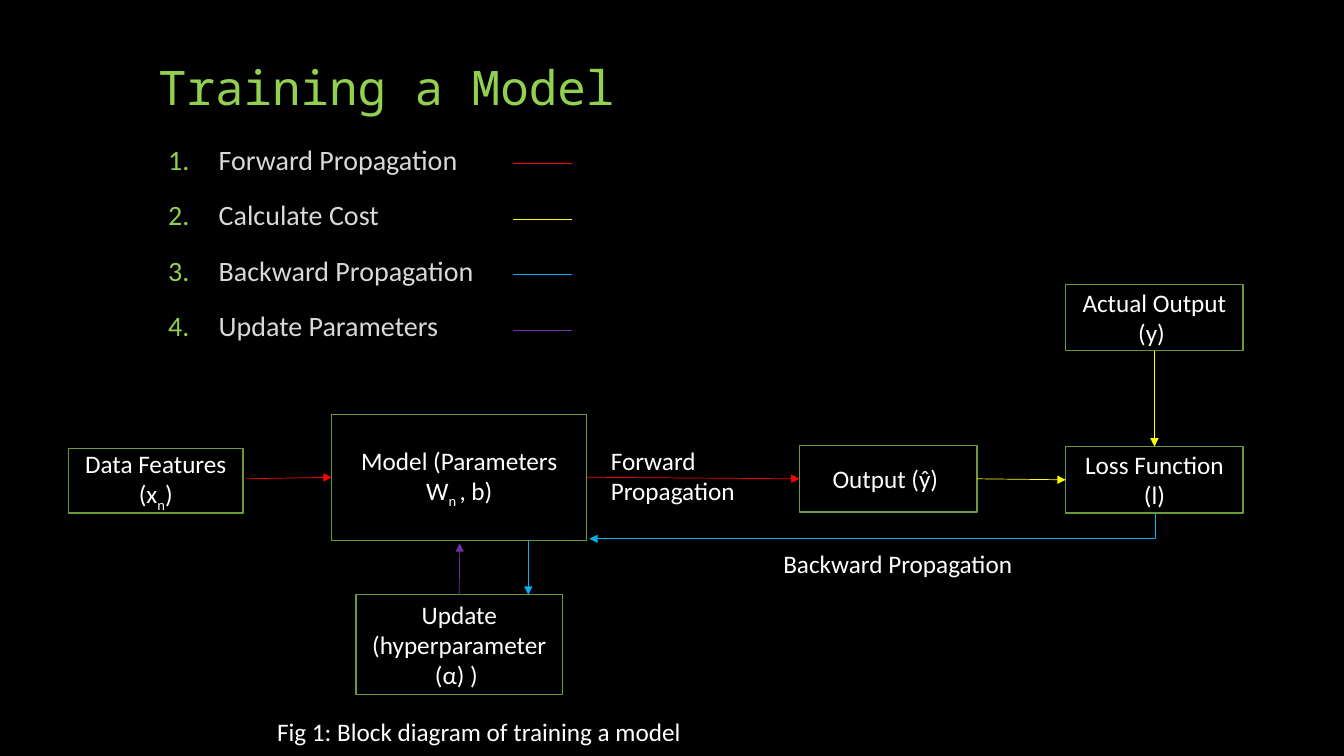
from dataclasses import dataclass
from typing import Optional

from lxml.etree import SubElement
from pptx import Presentation
from pptx.dml.color import RGBColor
from pptx.enum.shapes import MSO_CONNECTOR as Connector, MSO_SHAPE as Preset
from pptx.enum.text import MSO_ANCHOR as Anchor, PP_ALIGN as Align
from pptx.oxml.ns import qn
from pptx.util import Inches, Pt

COLORS = {
    "background": "000000",
    "green": "92D050",
    "border": "6C9A3B",
    "gray": "D9D9D9",
    "white": "FFFFFF",
    "red": "FF0000",
    "yellow": "FFFF00",
    "blue": "00B0F0",
    "purple": "7030A0",
}


@dataclass(frozen=True)
class Block:
    name: str
    area: tuple[float, float, float, float]
    spans: tuple[str, ...]  # every second span is a subscript


@dataclass(frozen=True)
class Label:
    area: tuple[float, float, float, float]
    lines: tuple[str, ...]
    size: int = 18
    color: str = "white"
    font: str = "Calibri"
    anchor: Anchor = Anchor.TOP
    spacing: float = 1.0


@dataclass(frozen=True)
class Arrow:
    start: tuple[float, float]
    end: tuple[float, float]
    color: str
    source: Optional[tuple[str, int]] = None  # block name and side
    target: Optional[tuple[str, int]] = None


BLOCKS = [
    Block("data", (0.68, 4.45, 1.73, 0.64), ("Data Features (x", "n", ")")),
    Block("model", (3.29, 4.11, 2.53, 1.25), ("Model (Parameters W", "n ", ", b)")),
    Block("output", (7.93, 4.42, 1.76, 0.66), ("Output (ŷ) ",)),
    Block("actual", (10.57, 2.82, 1.76, 0.66), ("Actual Output (y) ",)),
    Block("loss", (10.57, 4.43, 1.76, 0.66), ("Loss Function (l)",)),
    Block("update", (3.53, 5.9, 2.05, 0.99), ("Update (hyperparameter (α) ) ",)),
]
TITLE = Label((1.47, 0.31, 5.59, 0.89), ("Training a Model",), 34, "green",
              "Noto Sans Mono", Anchor.BOTTOM, 0.9)
STEPS = Label((1.57, 1.4, 4.75, 4.67),
              ("Forward Propagation", "Calculate Cost",
               "Backward Propagation", "Update Parameters"),
              20, "gray", spacing=0.9)
CAPTIONS = [
    Label((5.96, 4.37, 2.28, 0.71), ("Forward Propagation",)),
    Label((7.67, 5.39, 3.52, 0.4), ("Backward Propagation",)),
    Label((2.65, 7.06, 4.49, 0.4), ("Fig 1: Block diagram of training a model",)),
]
ARROWS = [
    Arrow((2.44, 4.75), (3.29, 4.73), "red", target=("model", 1)),
    Arrow((5.82, 4.73), (7.93, 4.75), "red", ("model", 3), ("output", 1)),
    Arrow((9.69, 4.75), (10.57, 4.76), "yellow", ("output", 3), ("loss", 1)),
    Arrow((11.45, 3.48), (11.45, 4.43), "yellow", ("actual", 2), ("loss", 0)),
    Arrow((5.24, 5.36), (5.24, 5.9), "blue"),
    Arrow((4.56, 5.9), (4.56, 5.39), "purple", ("update", 0)),
]
LEGEND_COLORS = ("red", "yellow", "blue", "purple")
LEGEND_TOP, LEGEND_BOTTOM = 1.62, 3.28


def rgb(name: str) -> RGBColor:
    return RGBColor.from_string(COLORS[name])


def style_font(font, size: int, color: str, face: str = "Calibri") -> None:
    font.name, font.size = face, Pt(size)
    font.color.rgb = rgb(color)


def add_block(page, block: Block):
    box = page.shapes.add_shape(Preset.RECTANGLE, *map(Inches, block.area))
    box.shadow.inherit = False
    box.fill.background()
    box.line.color.rgb = rgb("border")
    box.line.width = Pt(1)
    frame = box.text_frame
    frame.word_wrap = True
    frame.vertical_anchor = Anchor.MIDDLE
    para = frame.paragraphs[0]
    para.alignment = Align.CENTER
    style_font(para.font, 18, "white")
    for index, text in enumerate(block.spans):
        span = para.add_run()
        span.text = text
        if index % 2:
            span._r.get_or_add_rPr().set("baseline", "-25000")
    return box


def add_label(page, label: Label):
    frame = page.shapes.add_textbox(*map(Inches, label.area)).text_frame
    frame.word_wrap = True
    frame.vertical_anchor = label.anchor
    frame.text = "\n".join(label.lines)
    for para in frame.paragraphs:
        para.line_spacing = label.spacing
        style_font(para.font, label.size, label.color, label.font)
    return frame


def number_steps(frame) -> None:
    for para in frame.paragraphs:
        para.space_before = Pt(18)
        props = para._p.get_or_add_pPr()
        props.set("marL", str(Inches(0.5)))
        props.set("indent", str(-Inches(0.5)))
        # Bullet settings come before the default run properties
        defaults = props.find(qn("a:defRPr"))
        bullet_color = SubElement(props, qn("a:buClr"))
        SubElement(bullet_color, qn("a:srgbClr"), val=COLORS["green"])
        numbering = SubElement(props, qn("a:buAutoNum"), type="arabicPeriod")
        for item in (bullet_color, numbering):
            defaults.addprevious(item)


def add_line(page, start: tuple[float, float], end: tuple[float, float],
             color: str, arrowhead: bool = False):
    line = page.shapes.add_connector(Connector.STRAIGHT, *map(Inches, start + end))
    line.line.color.rgb = rgb(color)
    line.line.width = Pt(0.5)
    props = line._element.spPr
    if arrowhead:
        SubElement(props.find(qn("a:ln")), qn("a:tailEnd"), type="triangle")
    SubElement(props, qn("a:effectLst"))
    return line


def add_arrow(page, arrow: Arrow, boxes: dict) -> None:
    line = add_line(page, arrow.start, arrow.end, arrow.color, True)
    if arrow.source:
        name, side = arrow.source
        line.begin_connect(boxes[name], side)
    if arrow.target:
        name, side = arrow.target
        line.end_connect(boxes[name], side)


def add_backward_elbow(page) -> None:
    # A quarter turn makes the elbow leave downwards and end leftwards
    elbow = add_line(page, (8.52, 2.41), (8.78, 8.02), "blue", True)
    props = elbow._element.spPr
    props.find(qn("a:prstGeom")).set("prst", "bentConnector2")
    props.find(qn("a:xfrm")).set("rot", str(90 * 60000))


def main() -> None:
    deck = Presentation()
    deck.slide_width, deck.slide_height = Inches(13.33), Inches(7.5)
    page = deck.slides.add_slide(deck.slide_layouts[6])
    page.background.fill.solid()
    page.background.fill.fore_color.rgb = rgb("background")

    # Title and numbered steps
    add_label(page, TITLE)
    number_steps(add_label(page, STEPS))

    # Legend strokes beside the steps
    step = (LEGEND_BOTTOM - LEGEND_TOP) / (len(LEGEND_COLORS) - 1)
    for index, color in enumerate(LEGEND_COLORS):
        top = LEGEND_TOP + index * step
        add_line(page, (5.09, top), (5.67, top), color)

    # Block diagram
    boxes = {block.name: add_block(page, block) for block in BLOCKS}
    for arrow in ARROWS:
        add_arrow(page, arrow, boxes)
    add_backward_elbow(page)
    for caption in CAPTIONS:
        add_label(page, caption)

    deck.save("out.pptx")


if __name__ == "__main__":
    main()
